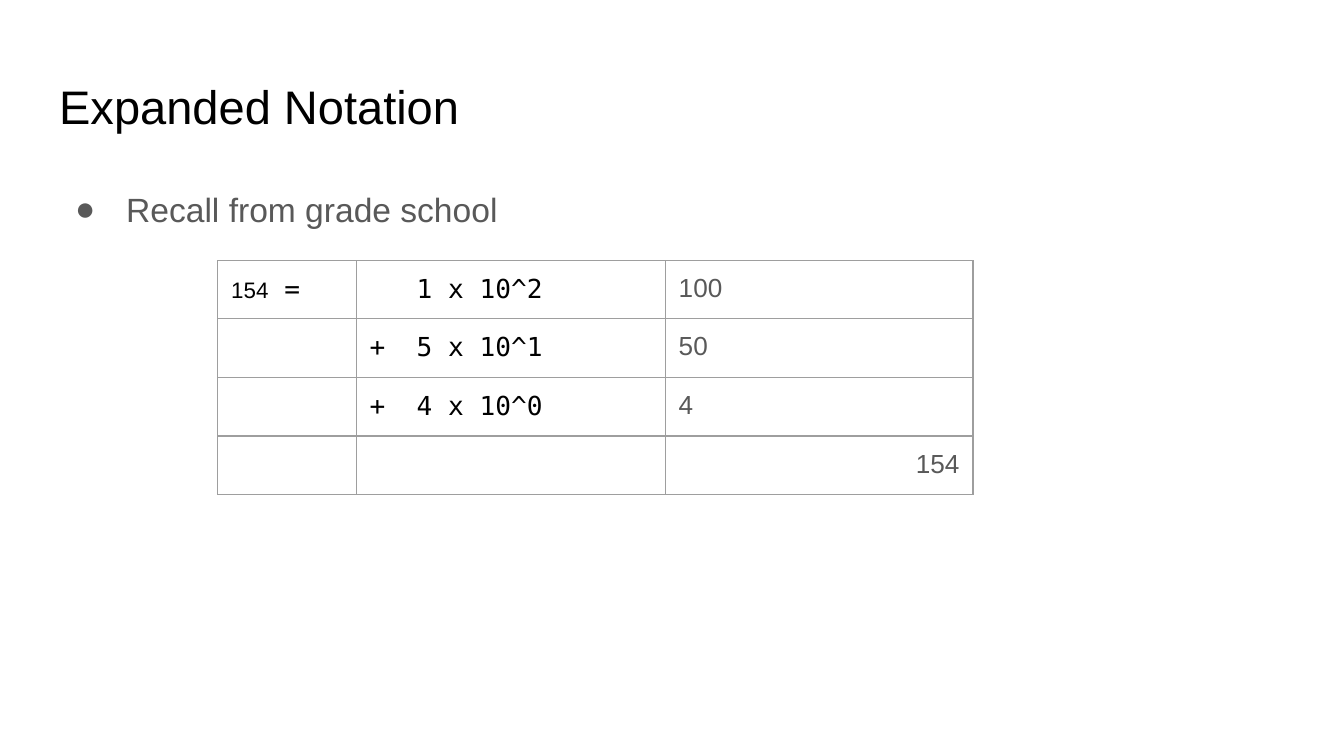
from dataclasses import dataclass

import pptx
import pptx.dml.color
import pptx.enum.text
import pptx.oxml
import pptx.oxml.ns
import pptx.util
from lxml import etree

Inches, Pt = pptx.util.Inches, pptx.util.Pt
Align, Anchor = pptx.enum.text.PP_ALIGN, pptx.enum.text.MSO_ANCHOR
qn = pptx.oxml.ns.qn

WIDTH = 10
HEIGHT = WIDTH * 9 / 16
SANS, MONO = "Arial", "DejaVu Sans Mono"
BLACK, GREY, RULE = "000000", "595959", "9E9E9E"
INSET = Inches(0.1)
TAB = Inches(0.35)  # from the plus sign to the digit
COLUMNS = (1.03, 2.3, 2.29)
ROW = 0.43


@dataclass(frozen=True)
class Style:
    size: float
    font: str
    color: str


@dataclass(frozen=True)
class Piece:
    text: str
    style: Style


TITLE = Style(25.2, SANS, BLACK)
BODY = Style(18, SANS, GREY)
NUMBER = Style(12, SANS, BLACK)
TERM = Style(14, MONO, BLACK)
VALUE = Style(14, SANS, GREY)

# Each cell is a list of text pieces
ROWS = [
    [[Piece("154", NUMBER), Piece(" =", TERM)], [Piece("\t1 x 10^2", TERM)], [Piece("100", VALUE)]],
    [[], [Piece("+\t5 x 10^1", TERM)], [Piece("50", VALUE)]],
    [[], [Piece("+\t4 x 10^0", TERM)], [Piece("4", VALUE)]],
    [[], [], [Piece("154", VALUE)]],
]


def rgb(color: str) -> pptx.dml.color.RGBColor:
    return pptx.dml.color.RGBColor.from_string(color)


def add_run(p, piece: Piece) -> None:
    r = p.add_run()
    r.text = piece.text
    r.font.size = Pt(piece.style.size)
    r.font.name = piece.style.font
    r.font.color.rgb = rgb(piece.style.color)


def place(sp, left: float, top: float, width: float, height: float) -> None:
    sp.left, sp.top = Inches(left), Inches(top)
    sp.width, sp.height = Inches(width), Inches(height)


def set_frame(tf) -> None:
    tf.word_wrap = True
    tf.auto_size = pptx.enum.text.MSO_AUTO_SIZE.NONE
    tf.vertical_anchor = Anchor.TOP
    tf.margin_left = tf.margin_right = tf.margin_top = tf.margin_bottom = INSET


def set_bullet(p, char: str, color: str) -> None:
    pPr = p._p.get_or_add_pPr()
    pPr.set("marL", str(Inches(0.5)))
    pPr.set("indent", str(Inches(-0.38)))
    clr = etree.SubElement(pPr, qn("a:buClr"))
    etree.SubElement(clr, qn("a:srgbClr"), val=color)
    etree.SubElement(pPr, qn("a:buFont"), typeface=SANS)
    etree.SubElement(pPr, qn("a:buChar"), char=char)


def set_borders(cell, color: str, width: float) -> None:
    tcPr = cell._tc.get_or_add_tcPr()
    for i, side in enumerate(("lnL", "lnR", "lnT", "lnB")):
        ln = etree.Element(qn(f"a:{side}"), w=str(Pt(width)))
        fill = etree.SubElement(ln, qn("a:solidFill"))
        etree.SubElement(fill, qn("a:srgbClr"), val=color)
        tcPr.insert(i, ln)


def fill_cell(cell, pieces: list[Piece]) -> None:
    cell.margin_left = cell.margin_right = cell.margin_top = cell.margin_bottom = INSET
    cell.fill.background()
    set_borders(cell, RULE, 0.75)
    p = cell.text_frame.paragraphs[0]
    for piece in pieces:
        add_run(p, piece)
    if any("\t" in piece.text for piece in pieces):
        tabs = etree.SubElement(p._p.get_or_add_pPr(), qn("a:tabLst"))
        etree.SubElement(tabs, qn("a:tab"), pos=str(TAB), algn="l")
    if not pieces:  # keeps empty rows from growing
        etree.SubElement(p._p, qn("a:endParaRPr"), sz="1400")


def main() -> None:
    prs = pptx.Presentation()
    prs.slide_width, prs.slide_height = Inches(WIDTH), Inches(HEIGHT)
    s = prs.slides.add_slide(prs.slide_layouts[5])

    # Title
    margin = 0.34
    title = s.shapes.title
    place(title, margin, 0.48, WIDTH - 2 * margin, 0.63)
    set_frame(title.text_frame)
    p = title.text_frame.paragraphs[0]
    p.alignment = Align.LEFT
    add_run(p, Piece("Expanded Notation", TITLE))

    # Bullet
    body = s.shapes.add_textbox(0, 0, 0, 0)
    place(body, margin, 1.26, WIDTH - 2 * margin, 3.74)
    set_frame(body.text_frame)
    p = body.text_frame.paragraphs[0]
    p.line_spacing = 1.15
    set_bullet(p, "●", GREY)
    add_run(p, Piece("Recall from grade school", BODY))

    # Sum of place values
    frame = s.shapes.add_table(
        len(ROWS), len(COLUMNS), Inches(1.62), Inches(1.94),
        Inches(sum(COLUMNS)), Inches(ROW * len(ROWS)))
    table = frame.table
    table.first_row = table.horz_banding = False
    for column, width in zip(table.columns, COLUMNS):
        column.width = Inches(width)
    for row, cells in zip(table.rows, ROWS):
        row.height = Inches(ROW)
        for cell, pieces in zip(row.cells, cells):
            fill_cell(cell, pieces)
    total = table.cell(len(ROWS) - 1, len(COLUMNS) - 1)
    total.text_frame.paragraphs[0].alignment = Align.RIGHT

    prs.save("out.pptx")


if __name__ == "__main__":
    main()
